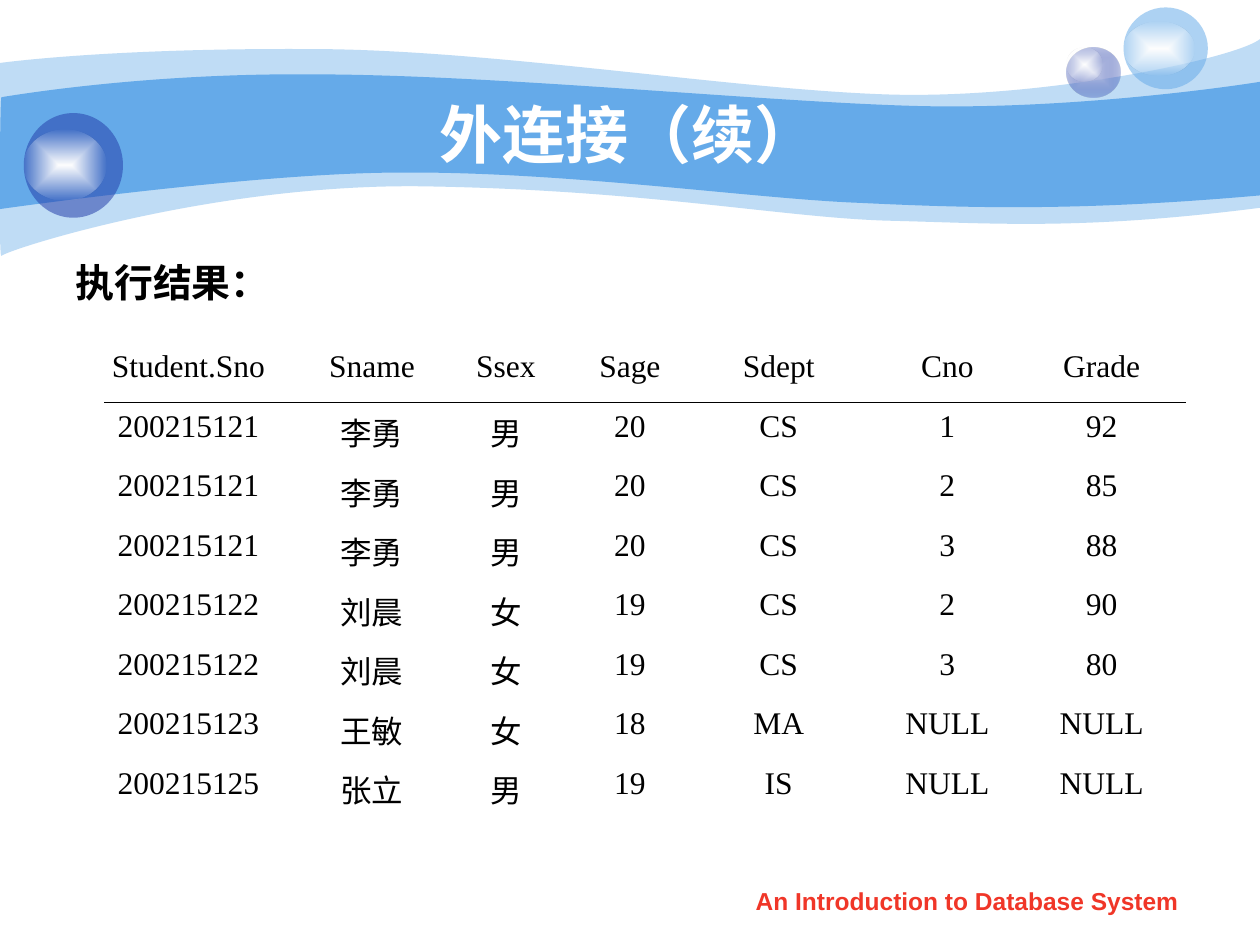
from lxml.etree import SubElement as Sub
from pptx import Presentation
from pptx.dml.color import RGBColor as RGB
from pptx.enum.shapes import MSO_CONNECTOR as Conn, MSO_SHAPE as Shape
from pptx.enum.text import MSO_ANCHOR as Anchor, PP_ALIGN as Align
from pptx.oxml.ns import qn
from pptx.util import Cm, Pt

SKY = RGB(0x65, 0xAA, 0xE9)
NAVY = RGB(0x23, 0x3D, 0xA9)
MIST = RGB(0xC7, 0xCE, 0xE9)
WHITE = RGB(0xFF, 0xFF, 0xFF)
BLACK = RGB(0, 0, 0)
RED = RGB(0xF0, 0x36, 0x28)
SHINE = [(WHITE, 100), (WHITE, 0)]
PLAIN = "{2D5ABB26-0587-4C30-8999-92F81FD0307C}"  # table style without lines

# Waves: a start point, then curves of three points or edges of one (cm)
OUTER = [
    [(0, 1.27)],
    [(0.61, 1.19), (2.74, 0.97), (6.27, 0.99)],
    [(9.8, 0.99), (14.6, 1.78), (17.75, 1.9)],
    [(20.88, 2.03), (24.89, 1.19), (25.4, 0.79)],
    [(25.4, 4.19)],
    [(21.79, 4.65), (20.02, 4.5), (17.91, 4.45)],
    [(15.8, 4.39), (13.08, 3.84), (8.71, 3.76)],
    [(4.37, 3.66), (0.1, 5.05), (0.03, 5.16)],
    [(-0.03, 5.28), (0, 1.9), (0, 1.27)],
]
INNER = [
    [(0.03, 1.96)],
    [(0.05, 1.96), (2.79, 1.47), (6.3, 1.5)],
    [(9.83, 1.5), (15.14, 2.03), (18.24, 2.13)],
    [(21.36, 2.24), (24.79, 1.75), (25.4, 1.65)],
    [(25.4, 3.94)],
    [(21.67, 4.27), (19.43, 4.19), (17.32, 4.09)],
    [(15.21, 4.01), (11.35, 3.45), (8.05, 3.48)],
    [(5.16, 3.48), (-0.05, 4.22), (-0.03, 4.22)],
    [(0, 4.22), (0, 1.96), (0.03, 1.96)],
]

# Bubbles: body box, body colour stops with opacity, shine box (cm)
BUBBLES = [
    ((21.51, 0.95, 1.07, 1.02), [(MIST, 100), (NAVY, 31)],
     (21.51, 0.95, 0.71, 0.69)),
    ((22.65, 0.15, 1.7, 1.65), [(SKY, 53)], (22.65, 0.43, 1.42, 1.09)),
    ((0.48, 2.28, 2, 2.11), [(NAVY, 53)], (0.48, 2.62, 1.67, 1.42)),
]

WIDTHS = [4.6, 2.8, 2.6, 2.4, 3.6, 3.2, 3.02]
ROW = 1.2
ROWS = [
    ("Student.Sno", "Sname", "Ssex", "Sage", "Sdept", "Cno", "Grade"),
    ("200215121", "李勇", "男", "20", "CS", "1", "92"),
    ("200215121", "李勇", "男", "20", "CS", "2", "85"),
    ("200215121", "李勇", "男", "20", "CS", "3", "88"),
    ("200215122", "刘晨", "女", "19", "CS", "2", "90"),
    ("200215122", "刘晨", "女", "19", "CS", "3", "80"),
    ("200215123", "王敏", "女", "18", "MA", "NULL", "NULL"),
    ("200215125", "张立", "男", "19", "IS", "NULL", "NULL"),
]


def add_tint(node, color, alpha):
    tint = Sub(node, qn("a:srgbClr"), val=str(color))
    if alpha < 100:
        Sub(tint, qn("a:alpha"), val=str(alpha * 1000))


def paint(shape, stops):
    """Fill with one colour, or with a gradient from the centre outwards."""
    shape.shadow.inherit = False
    shape.line.fill.background()
    shape.fill.background()
    fill = shape.element.spPr.find(qn("a:noFill"))
    if len(stops) == 1:
        fill.tag = qn("a:solidFill")
        add_tint(fill, *stops[0])
        return
    fill.tag = qn("a:gradFill")
    marks = Sub(fill, qn("a:gsLst"))
    for pos, stop in zip((0, 100000), stops):
        add_tint(Sub(marks, qn("a:gs"), pos=str(pos)), *stop)
    track = Sub(fill, qn("a:path"), path="rect")
    Sub(track, qn("a:fillToRect"), {side: "50000" for side in "ltrb"})


def add_wave(shapes, wave, alpha):
    first, *rest = [(Cm(x), Cm(y)) for part in wave for x, y in part]
    form = shapes.build_freeform(*first)
    form.add_line_segments(rest, close=True)
    shape = form.convert_to_shape()
    # Merge each three points into one curve
    edges = iter(list(shape.element.iter(qn("a:lnTo"))))
    for part in wave[1:]:
        group = [next(edges) for _ in part]
        if len(group) == 3:
            curve = group[0]
            curve.tag = qn("a:cubicBezTo")
            for edge in group[1:]:
                curve.append(edge[0])
                edge.getparent().remove(edge)
    paint(shape, [(SKY, alpha)])


def add_bubble(shapes, body, stops, glow):
    group = shapes.add_group_shape()
    for box, look in ((body, stops), (glow, SHINE)):
        paint(group.shapes.add_shape(Shape.OVAL, *map(Cm, box)), look)


def style(para, size, color, face="Arial", bold=True, align=Align.CENTER):
    para.alignment = align
    font = para.font
    font.name, font.size, font.bold = face, Pt(size), bold
    font.color.rgb = color


def add_text(shapes, box, text, size, color, align=Align.CENTER,
             anchor=Anchor.TOP):
    frame = shapes.add_textbox(*map(Cm, box)).text_frame
    frame.word_wrap = True
    frame.vertical_anchor = anchor
    para = frame.paragraphs[0]
    para.text = text
    style(para, size, color, align=align)


def add_grid(shapes, left, top):
    table = shapes.add_table(len(ROWS), len(WIDTHS), Cm(left), Cm(top),
                             Cm(sum(WIDTHS)), Cm(ROW * len(ROWS))).table
    table.first_row = table.horz_banding = False
    table._tbl.tblPr.find(qn("a:tableStyleId")).text = PLAIN
    for col, width in zip(table.columns, WIDTHS):
        col.width = Cm(width)
    for row, values in zip(table.rows, ROWS):
        row.height = Cm(ROW)
        for cell, value in zip(row.cells, values):
            cell.fill.background()
            cell.text = value
            style(cell.text_frame.paragraphs[0], 18, BLACK,
                  "Times New Roman", bold=False)


def add_rule(shapes, left, right, y):
    rule = shapes.add_connector(Conn.STRAIGHT, Cm(left), Cm(y),
                                Cm(right), Cm(y))
    rule.line.color.rgb = BLACK
    rule.line.width = Pt(0.75)
    Sub(rule.element.spPr, qn("a:effectLst"))


def main():
    deck = Presentation()
    deck.slide_width, deck.slide_height = Cm(25.4), Cm(19.05)
    shapes = deck.slides.add_slide(deck.slide_layouts[6]).shapes

    # Banner
    add_wave(shapes, OUTER, 41)
    add_wave(shapes, INNER, 100)
    for bubble in BUBBLES:
        add_bubble(shapes, *bubble)

    # Footer, title and heading
    add_text(shapes, (14.5, 17.73, 10, 0.89),
             "An Introduction to Database System", 14, RED)
    add_text(shapes, (2.55, 1.9, 20.52, 1.57), "外连接（续） ", 36, WHITE,
             anchor=Anchor.MIDDLE)
    add_text(shapes, (1.27, 5.1, 11.23, 1.24), "执行结果： ", 22.2, BLACK,
             align=Align.JUSTIFY)

    # Query result
    add_grid(shapes, 1.5, 6.92)
    add_rule(shapes, 2.1, 23.9, 8.12)

    deck.save("out.pptx")


if __name__ == "__main__":
    main()
